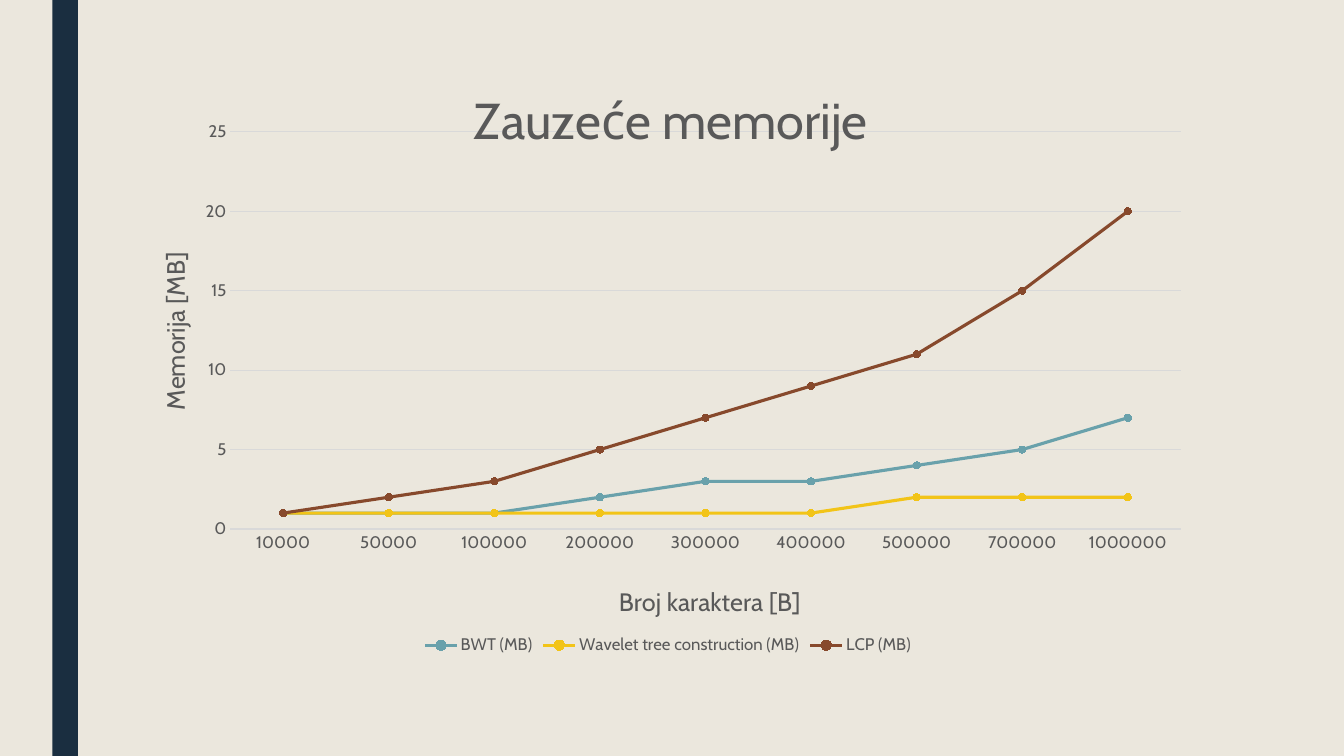
from lxml import etree
from pptx import Presentation
from pptx import util as u
from pptx.chart.data import CategoryChartData
from pptx.dml.color import RGBColor
from pptx.enum import chart as ec, shapes
from pptx.oxml import parse_xml
from pptx.oxml.ns import nsdecls, qn

CREAM = RGBColor(0xEB, 0xE7, 0xDD)
NAVY = RGBColor(0x1A, 0x2E, 0x40)
GREY = RGBColor(0x59, 0x59, 0x59)
PALE = RGBColor(0xD9, 0xD9, 0xD9)
TEAL = RGBColor(0x69, 0xA1, 0xAB)
GOLD = RGBColor(0xF2, 0xC4, 0x18)
RUST = RGBColor(0x87, 0x49, 0x2C)
FONT = "Cabin"

SIZES = ["10000", "50000", "100000", "200000", "300000",
         "400000", "500000", "700000", "1000000"]
SERIES = [
    ("BWT (MB)", [1, 1, 1, 2, 3, 3, 4, 5, 7], TEAL),
    ("Wavelet tree construction (MB)", [1, 1, 1, 1, 1, 1, 2, 2, 2], GOLD),
    ("LCP (MB)", [1, 2, 3, 5, 7, 9, 11, 15, 20], RUST),
]


def style(font, size):
    font.name, font.size, font.bold = FONT, u.Pt(size), False
    font.color.rgb = GREY


def place(node, index, **share):
    """Fix a chart part's layout, in shares of the chart's box."""
    for old in node.findall(qn("c:layout")):
        node.remove(old)
    layout = parse_xml(f"<c:layout {nsdecls('c')}><c:manualLayout/></c:layout>")

    def add(tag, val):
        etree.SubElement(layout[0], qn("c:" + tag)).set("val", str(val))

    if "w" in share:
        add("layoutTarget", "inner")
    add("xMode", "edge")
    add("yMode", "edge")
    for tag, val in share.items():
        add(tag, val)
    node.insert(index, layout)


def label(title, words, size, x, y):
    frame = title.text_frame
    frame.text = words
    style(frame.paragraphs[0].runs[0].font, size)
    place(title._element, 1, x=x, y=y)
    return frame


def rule(line, color, width):
    line.color.rgb = color
    line.width = u.Pt(width)


def add_bar(slide, box):
    bar = slide.shapes.add_shape(shapes.MSO_SHAPE.RECTANGLE, *box)
    bar.shadow.inherit = False
    bar.fill.solid()
    bar.fill.fore_color.rgb = NAVY
    bar.line.fill.background()


def add_graph(slide, box):
    data = CategoryChartData(number_format="General")
    data.categories = SIZES
    for name, vals, _ in SERIES:
        data.add_series(name, vals)
    chart = slide.shapes.add_chart(
        ec.XL_CHART_TYPE.LINE_MARKERS, *box, data).chart
    style(chart.font, 12)

    # Titles
    chart.has_title = True
    label(chart.chart_title, "Zauzeće memorije", 36, 0.31, 0.05)
    cat, val = chart.category_axis, chart.value_axis
    label(cat.axis_title, "Broj karaktera [B]", 18, 0.45, 0.87)
    frame = label(val.axis_title, "Memorija [MB]", 18, 0.02, 0.33)
    frame._txBody.bodyPr.set("rot", "-5400000")

    # Axes
    for axis in (cat, val):
        axis.major_tick_mark = axis.minor_tick_mark = ec.XL_TICK_MARK.NONE
        style(axis.tick_labels.font, 12)
    rule(cat.format.line, PALE, 0.75)
    val.format.line.fill.background()
    val.has_major_gridlines = True
    rule(val.major_gridlines.format.line, PALE, 0.75)
    val.minimum_scale, val.maximum_scale, val.major_unit = 0, 25, 5

    # Legend
    chart.has_legend = True
    chart.legend.position = ec.XL_LEGEND_POSITION.BOTTOM
    chart.legend.include_in_layout = False
    style(chart.legend.font, 12)

    # Lines and markers
    plot = chart.plots[0]
    plot.vary_by_categories = False
    place(plot._element.getparent(), 0, x=0.092, y=0.141, w=0.886, h=0.647)
    for line, (_, _, color) in zip(plot.series, SERIES):
        line.smooth = False
        rule(line.format.line, color, 2.25)
        mark = line.marker
        mark.style, mark.size = ec.XL_MARKER_STYLE.CIRCLE, 5
        mark.format.fill.solid()
        mark.format.fill.fore_color.rgb = color
        rule(mark.format.line, color, 0.75)


def main():
    deck = Presentation()
    deck.slide_width, deck.slide_height = u.Inches(13.33), u.Inches(7.5)
    wide, high = deck.slide_width, deck.slide_height

    def area(x, y, w, h):
        return int(x * wide), int(y * high), int(w * wide), int(h * high)

    slide = deck.slides.add_slide(deck.slide_layouts[6])
    slide.background.fill.solid()
    slide.background.fill.fore_color.rgb = CREAM
    add_bar(slide, area(0.039, 0, 0.019, 1))
    add_graph(slide, area(0.098, 0.06, 0.798, 0.812))
    deck.save("out.pptx")


main()
